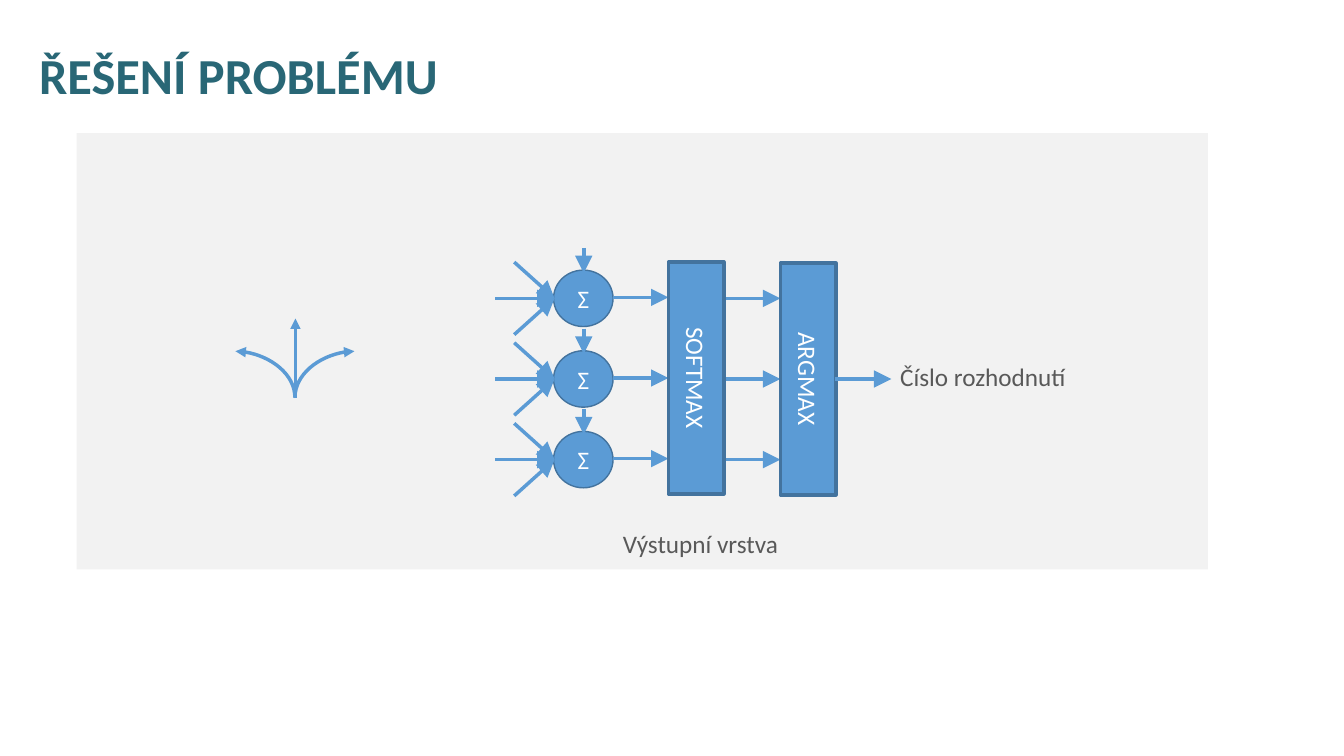
from lxml.etree import SubElement
from pptx import Presentation
from pptx.dml.color import RGBColor
from pptx.enum.shapes import MSO_CONNECTOR, MSO_SHAPE
from pptx.enum.text import MSO_ANCHOR, PP_ALIGN
from pptx.oxml.ns import qn
from pptx.util import Inches, Pt

BLUE = RGBColor(0x5B, 0x9B, 0xD5)
EDGE = RGBColor(0x43, 0x73, 0x9E)
TEAL = RGBColor(0x29, 0x67, 0x76)
GRAY = RGBColor(0x59, 0x59, 0x59)
PALE = RGBColor(0xF2, 0xF2, 0xF2)
WHITE = RGBColor(0xFF, 0xFF, 0xFF)

MID = 37.6  # centre line of the network
PITCH = 8.0  # distance between neurons


def grid(*cells):
    """Turn cells of a tenth of an inch into lengths."""
    return [Inches(cell / 10) for cell in cells]


def write(shape, text, color, size=18, bold=False, align=PP_ALIGN.LEFT):
    frame = shape.text_frame
    para = frame.paragraphs[0]
    para.text = text
    para.alignment = align
    font = para.font
    font.name, font.size, font.bold = "Calibri", Pt(size), bold
    font.color.rgb = color
    return para


def label(slide, text, *box):
    shape = slide.shapes.add_textbox(*grid(*box))
    shape.text_frame.word_wrap = False
    write(shape, text, GRAY)


def title(slide, text, *box):
    shape = slide.shapes.add_textbox(*grid(*box))
    shape.text_frame.word_wrap = True
    shape.text_frame.vertical_anchor = MSO_ANCHOR.MIDDLE
    write(shape, text, TEAL, 36, True).line_spacing = 0.9


def panel(slide, kind, fill, *box):
    shape = slide.shapes.add_shape(kind, *grid(*box))
    shape.shadow.inherit = False
    shape.fill.solid()
    shape.fill.fore_color.rgb = fill
    shape.line.fill.background()
    return shape


def node(slide, kind, text, width, *box):
    shape = panel(slide, kind, BLUE, *box)
    shape.line.color.rgb = EDGE
    shape.line.width = Pt(width)
    shape.text_frame.vertical_anchor = MSO_ANCHOR.MIDDLE
    write(shape, text, WHITE, align=PP_ALIGN.CENTER)
    return shape


def layer(slide, text, left, top):
    """Draw a tall bar whose text runs downwards."""
    long, thin = 23, 5.5
    shift = (long - thin) / 2
    bar = node(slide, MSO_SHAPE.FLOWCHART_PROCESS, text, 2.5,
               left - shift, top + shift, long, thin)
    bar.rotation = 90


def arrow(slide, *ends, kind=MSO_CONNECTOR.STRAIGHT, head="lg"):
    link = slide.shapes.add_connector(kind, *grid(*ends))
    link.line.color.rgb = BLUE
    link.line.width = Pt(2.5)
    SubElement(link.line._get_or_add_ln(), qn("a:tailEnd"),
               type="triangle", w=head, len=head)
    SubElement(link._element.spPr, qn("a:effectLst"))
    return link


def bend(slide, turn, *ends):
    """Draw a quarter curve, turned by whole degrees."""
    link = arrow(slide, *ends, kind=MSO_CONNECTOR.CURVE, head="med")
    props = link._element.spPr
    props.find(qn("a:prstGeom")).set("prst", "curvedConnector2")
    props.find(qn("a:xfrm")).set("rot", str(turn * 60000))


def fork(slide):
    bend(slide, 270, 24, 40.1, 28.6, 34.2)
    bend(slide, 90, 34.5, 40.1, 29.9, 34.2)
    arrow(slide, 29.3, 39.5, 29.3, 31.6, head="med")


def neuron(slide, mid):
    node(slide, MSO_SHAPE.OVAL, "Σ", 1, 54.9, mid - 2.8, 5.9, 5.6)
    for start, rise in ((51, -3.6), (51, 3.6), (49.1, 0)):
        arrow(slide, start, mid + rise, 55, mid)
    arrow(slide, 57.9, mid - 5, 57.9, mid - 2.5)
    arrow(slide, 60.8, mid - 0.1, 66.3, mid - 0.1)
    arrow(slide, 71.8, mid, 77.4, mid)


def main():
    deck = Presentation()
    deck.slide_width, deck.slide_height = Inches(13.33), Inches(7.5)
    slide = deck.slides.add_slide(deck.slide_layouts[6])
    panel(slide, MSO_SHAPE.RECTANGLE, PALE, 7.6, 13.2, 112.2, 43.3)
    title(slide, "ŘEŠENÍ PROBLÉMU", 2.9, 2.1, 124.4, 11.3)
    fork(slide)
    for row in (-1, 0, 1):
        neuron(slide, MID + row * PITCH)
    layer(slide, "SOFTMAX", 66.3, 26)
    layer(slide, "ARGMAX", 77.4, 26.1)
    arrow(slide, 82.8, MID, 88.4, MID)
    label(slide, "Číslo rozhodnutí", 88.3, 35.4, 18.6, 4)
    label(slide, "Výstupní vrstva", 60.8, 51.9, 17.6, 4)
    deck.save("out.pptx")


if __name__ == "__main__":
    main()
